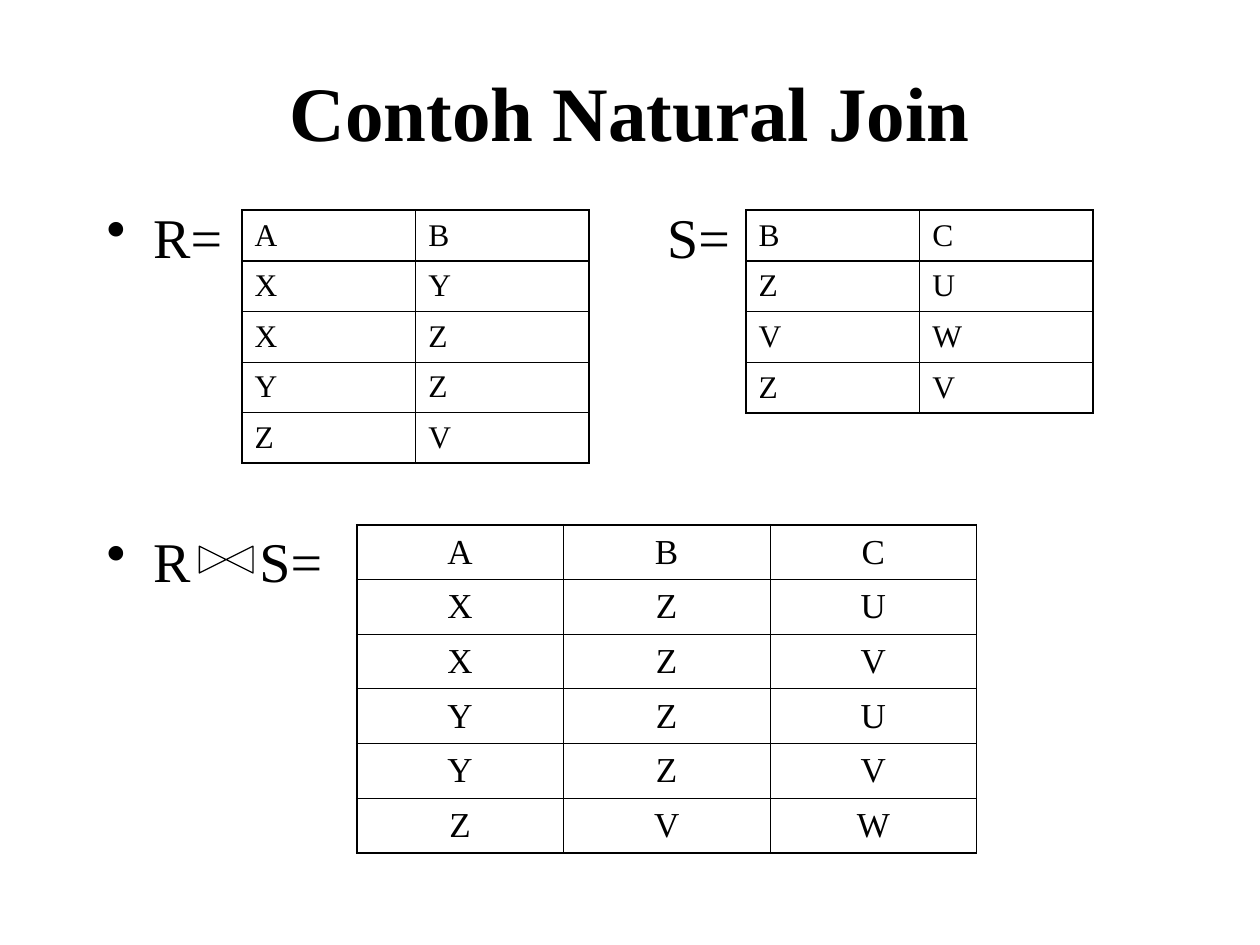
"""Build a slide that shows a natural join of two relations."""
from lxml import etree
from pptx import Presentation, util as u
from pptx.dml import color
from pptx.enum import shapes, text
from pptx.oxml import ns


def rgb(value):
    return color.RGBColor.from_string(value)


def write(frame, words, size, font="Times New Roman", ink="000000", bold=False,
          align=text.PP_ALIGN.LEFT, before=0):
    paragraph = frame.paragraphs[0]
    paragraph.alignment = align
    paragraph.space_before = u.Pt(before)
    run = paragraph.add_run()
    run.text = words
    run.font.name = font
    run.font.size = u.Pt(size)
    run.font.bold = bold
    run.font.color.rgb = rgb(ink)
    return paragraph


class RelationSlide:
    ink = "000000"
    thick, thin = 1.08, 0.45
    hanging = u.Cm(0.94)

    def __init__(self, deck):
        self.slide = deck.slides.add_slide(deck.slide_layouts[5])

    def title(self, words, left, top, width, height):
        heading = self.slide.shapes.title
        heading.left, heading.top = u.Cm(left), u.Cm(top)
        heading.width, heading.height = u.Cm(width), u.Cm(height)
        heading.text_frame.vertical_anchor = text.MSO_ANCHOR.MIDDLE
        write(heading.text_frame, words, 44, bold=True, align=text.PP_ALIGN.CENTER)

    def label(self, words, left, top, width, bullet=False):
        frame = self.slide.shapes.add_textbox(
            u.Cm(left), u.Cm(top), u.Cm(width), u.Cm(1.6)).text_frame
        frame.word_wrap = True
        properties = write(frame, words, 32)._p.get_or_add_pPr()
        if bullet:
            properties.set("marL", str(self.hanging))
            properties.set("indent", str(-self.hanging))
            etree.SubElement(properties, ns.qn("a:buChar"), char="•")

    def bowtie(self, left, top, width, height):
        symbol = self.slide.shapes.add_shape(
            shapes.MSO_SHAPE.FLOWCHART_COLLATE,
            u.Cm(left), u.Cm(top), u.Cm(width), u.Cm(height))
        symbol.rotation = 270
        symbol.shadow.inherit = False
        symbol.fill.background()
        symbol.line.color.rgb = rgb(self.ink)
        symbol.line.width = u.Pt(0.75)

    def border(self, cell, side, weight):
        edge = etree.SubElement(cell._tc.get_or_add_tcPr(), ns.qn(f"a:ln{side}"),
                                w=str(u.Pt(weight)))
        fill = etree.SubElement(edge, ns.qn("a:solidFill"))
        etree.SubElement(fill, ns.qn("a:srgbClr"), val=self.ink)

    def relation(self, rows, left, top, width, row_height, size, align):
        row_count, column_count = len(rows), len(rows[0])
        grid = self.slide.shapes.add_table(
            row_count, column_count, u.Cm(left), u.Cm(top),
            u.Cm(width), u.Cm(row_height * row_count)).table
        grid.first_row = grid.horz_banding = False
        for r, values in enumerate(rows):
            for c, value in enumerate(values):
                cell = grid.cell(r, c)
                cell.vertical_anchor = text.MSO_ANCHOR.MIDDLE
                write(cell.text_frame, value, size, align=align, before=size / 4)
                heavy = {"L": c == 0, "R": c == column_count - 1,
                         "T": r < 2, "B": r in (0, row_count - 1)}
                for side, is_heavy in heavy.items():
                    self.border(cell, side, self.thick if is_heavy else self.thin)
                cell.fill.background()


def main():
    deck = Presentation()
    deck.slide_width, deck.slide_height = u.Cm(25.4), u.Cm(19.05)
    page = RelationSlide(deck)
    left, center = text.PP_ALIGN.LEFT, text.PP_ALIGN.CENTER

    page.title("Contoh Natural Join", 1.9, 1.07, 21.6, 2.34)
    page.label("R=", 1.9, 3.95, 3, bullet=True)
    page.label("S=", 13.2, 3.95, 2.2)
    page.label("R", 1.9, 10.49, 2.4, bullet=True)
    page.label("S=", 4.98, 10.49, 2.2)
    page.relation(["AB", "XY", "XZ", "YZ", "ZV"], 4.88, 4.24, 7, 1.02, 18, left)
    page.relation(["BC", "ZU", "VW", "ZV"], 15.04, 4.24, 7, 1.02, 18, left)
    page.bowtie(4.29, 10.74, 0.54, 1.08)
    page.relation(["ABC", "XZU", "XZV", "YZU", "YZV", "ZVW"],
                  7.19, 10.58, 12.5, 1.1, 20, center)
    deck.save("out.pptx")


if __name__ == "__main__":
    main()
